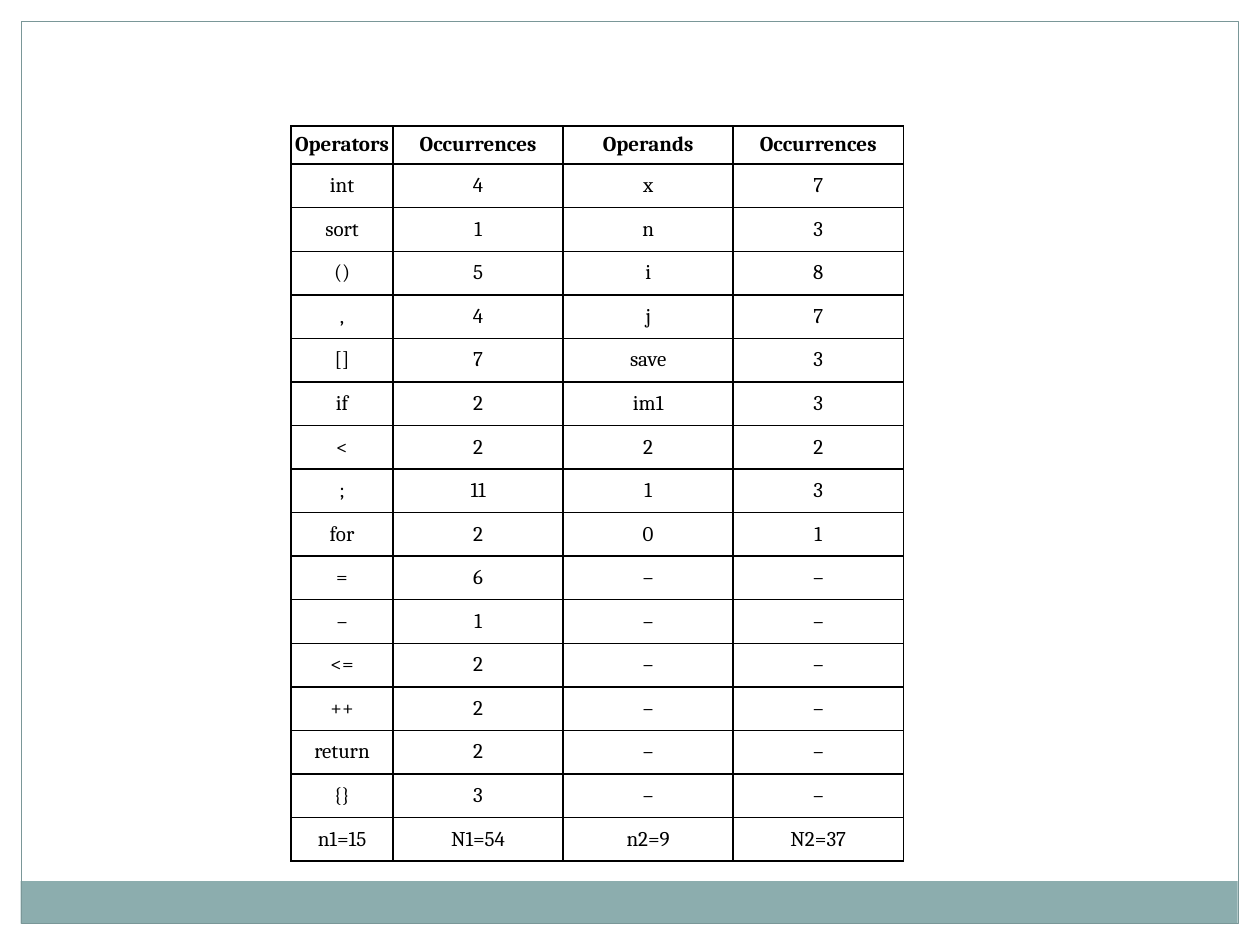
from lxml import etree
from pptx import Presentation
from pptx.dml.color import RGBColor
from pptx.enum import shapes, text
from pptx.oxml import ns
from pptx.util import Pt

BLACK = RGBColor(0x00, 0x00, 0x00)
WHITE = RGBColor(0xFF, 0xFF, 0xFF)
TEAL = RGBColor(0x8C, 0xAD, 0xAE)
EDGE = RGBColor(0x7A, 0x97, 0x98)

WIDE, HIGH, RIM = 720, 540, 12.24
BARS = [
    (0, 0, WIDE, RIM, WHITE),
    (WIDE - RIM, 0, RIM, HIGH, WHITE),
    (0, 0, RIM, HIGH, WHITE),
    (11.75, 503.5, 695.5, 24.3, TEAL),
]
COLS = [58.3, 97.2, 97.2, 97.2]
HEAD, ROW = 21.8, 24.9
ROWS = [
    ("Operators", "Occurrences", "Operands", "Occurrences"),
    ("int", "4", "x", "7"),
    ("sort", "1", "n", "3"),
    ("()", "5", "i", "8"),
    (",", "4", "j", "7"),
    ("[]", "7", "save", "3"),
    ("if", "2", "im1", "3"),
    ("<", "2", "2", "2"),
    (";", "11", "1", "3"),
    ("for", "2", "0", "1"),
    ("=", "6", "–", "–"),
    ("–", "1", "–", "–"),
    ("<=", "2", "–", "–"),
    ("++", "2", "–", "–"),
    ("return", "2", "–", "–"),
    ("{}", "3", "–", "–"),
    ("n1=15", "N1=54", "n2=9", "N2=37"),
]
FONT = {"name": "Cambria", "size": Pt(12)}


def put(item, props):
    for key, val in props.items():
        setattr(item, key, val)


def add_rect(slide, left, top, wide, high, fill=None, line=None):
    rect = slide.shapes.add_shape(
        shapes.MSO_SHAPE.RECTANGLE, Pt(left), Pt(top), Pt(wide), Pt(high))
    rect.shadow.inherit = False
    if fill is None:
        rect.fill.background()
    else:
        rect.fill.solid()
        rect.fill.fore_color.rgb = fill
    if line is None:
        rect.line.fill.background()
    else:
        rect.line.color.rgb = line
        rect.line.width = Pt(0.75)


def add_rules(cell):
    props = cell._tc.get_or_add_tcPr()
    for side in ("lnL", "lnR", "lnT", "lnB"):
        rule = etree.SubElement(props, ns.qn("a:" + side), w=str(Pt(1)))
        fill = etree.SubElement(rule, ns.qn("a:solidFill"))
        etree.SubElement(fill, ns.qn("a:srgbClr"), val=str(BLACK))


def fill_cell(cell, words, bold, side, rise):
    put(cell, {
        "text": words,
        "vertical_anchor": text.MSO_ANCHOR.MIDDLE,
        "margin_left": Pt(side), "margin_right": Pt(side),
        "margin_top": Pt(rise), "margin_bottom": Pt(rise),
    })
    para = cell.text_frame.paragraphs[0]
    para.alignment = text.PP_ALIGN.CENTER
    font = para.runs[0].font
    put(font, {**FONT, "bold": bold})
    font.color.rgb = BLACK
    add_rules(cell)
    cell.fill.background()


def add_grid(slide, left, top):
    high = HEAD + ROW * (len(ROWS) - 1)
    grid = slide.shapes.add_table(
        len(ROWS), len(COLS), Pt(left), Pt(top), Pt(sum(COLS)), Pt(high)).table
    put(grid, {"first_row": False, "horz_banding": False})
    for col, wide in zip(grid.columns, COLS):
        col.width = Pt(wide)
    for r, words in enumerate(ROWS):
        head = r == 0
        grid.rows[r].height = Pt(HEAD if head else ROW)
        for c, word in enumerate(words):
            side = 1.4 if head and c == 0 else 3.6
            fill_cell(grid.cell(r, c), word, head, side, 3.6 if head else 5)


def main():
    deck = Presentation()
    put(deck, {"slide_width": Pt(WIDE), "slide_height": Pt(HIGH)})
    slide = deck.slides.add_slide(deck.slide_layouts[6])
    for bar in BARS:
        add_rect(slide, *bar)
    add_rect(slide, RIM, RIM, WIDE - 2 * RIM, HIGH - 2 * RIM, line=EDGE)
    add_grid(slide, 166.3, 72)
    deck.save("out.pptx")


if __name__ == "__main__":
    main()
